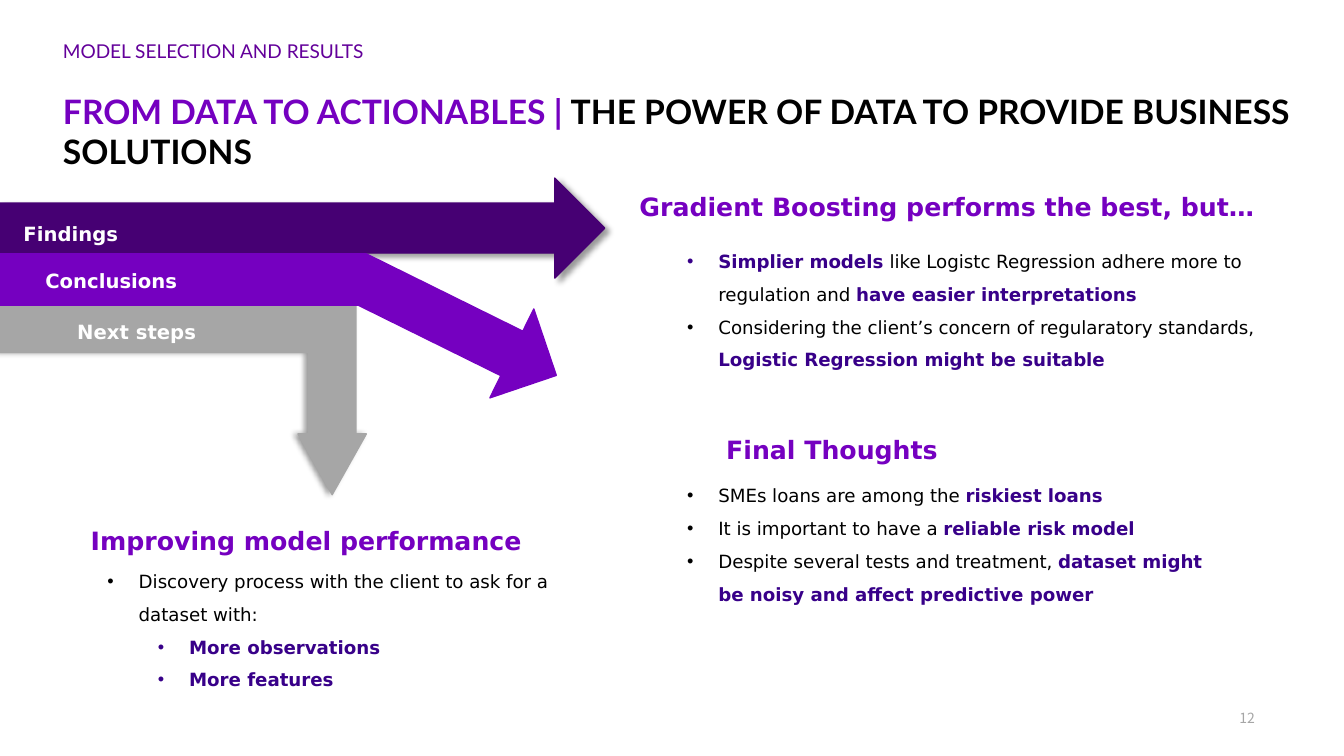
from dataclasses import dataclass

from lxml import etree
from pptx import Presentation
from pptx.dml.color import RGBColor
from pptx.enum.shapes import MSO_SHAPE
from pptx.enum.text import MSO_ANCHOR, MSO_AUTO_SIZE, PP_ALIGN
from pptx.oxml.ns import qn
from pptx.util import Emu, Inches, Pt

LEFT, CENTER, RIGHT = PP_ALIGN.LEFT, PP_ALIGN.CENTER, PP_ALIGN.RIGHT
TOP, BOTTOM = MSO_ANCHOR.TOP, MSO_ANCHOR.BOTTOM
FIXED, GROW = MSO_AUTO_SIZE.NONE, MSO_AUTO_SIZE.SHAPE_TO_FIT_TEXT
RECTANGLE, ARROW, BENT_ARROW = MSO_SHAPE.RECTANGLE, MSO_SHAPE.RIGHT_ARROW, MSO_SHAPE.BENT_ARROW
TITLE_ONLY = 5
COLUMNS, ROWS = 160, 90


@dataclass(frozen=True)
class Theme:
    purple: str = "7500C0"
    dark_purple: str = "460073"
    section_purple: str = "63009A"
    emphasis: str = "380089"
    grey: str = "A6A6A6"
    black: str = "000000"
    white: str = "FFFFFF"
    title_font: str = "Lato"
    body_font: str = "DejaVu Sans"
    number_font: str = "Noto Sans CJK JP"
    title_size: float = 24
    heading_size: float = 18
    label_size: float = 14
    section_size: float = 13.6
    body_size: float = 13
    number_size: float = 10
    body_spacing: float = 1.5


class Board:
    """The current slide, its grid and its style."""

    def __init__(self, deck, theme):
        self.theme = theme
        self.column = deck.slide_width / COLUMNS
        self.row = deck.slide_height / ROWS
        self.slide = deck.slides.add_slide(deck.slide_layouts[TITLE_ONLY])

    def area(self, left, top, width, height):
        return (Emu(round(left * self.column)), Emu(round(top * self.row)),
                Emu(round(width * self.column)), Emu(round(height * self.row)))

    def frame(self, holder, top=0.0, bottom=0.0, anchor=TOP, fit=FIXED):
        frame = holder.text_frame
        frame.word_wrap = True
        frame.auto_size = fit
        frame.vertical_anchor = anchor
        frame.margin_left = frame.margin_right = 0
        frame.margin_top, frame.margin_bottom = Inches(top), Inches(bottom)
        return frame

    def style(self, run, font, size, color, bold=False):
        run.font.name, run.font.size, run.font.bold = font, Pt(size), bold
        run.font.color.rgb = RGBColor.from_string(color)

    def title(self, place, parts):
        holder = self.slide.shapes.title
        holder.left, holder.top, holder.width, holder.height = self.area(*place)
        line = self.frame(holder, top=0.05).paragraphs[0]
        line.alignment = LEFT
        for wording, color in parts:
            run = line.add_run()
            run.text = wording
            self.style(run, self.theme.title_font, self.theme.title_size, color, True)

    def text(self, place, wording, font, size, color, bold=False,
             align=LEFT, spacing=1.0, **layout):
        box = self.slide.shapes.add_textbox(*self.area(*place))
        line = self.frame(box, **layout).paragraphs[0]
        line.text = wording
        line.alignment, line.line_spacing = align, spacing
        self.style(line.runs[0], font, size, color, bold)

    def heading(self, place, wording):
        self.text(place, wording, self.theme.body_font, self.theme.heading_size,
                  self.theme.purple, True, CENTER, self.theme.body_spacing,
                  bottom=0.05, fit=GROW)

    def label(self, left, top, wording):
        self.text((left, top, 38.2, 4.3), wording, self.theme.body_font,
                  self.theme.label_size, self.theme.white, True,
                  spacing=self.theme.body_spacing, bottom=0.05, fit=GROW)

    def bullets(self, place, items):
        """Items are (level, wording); *asterisks* enclose the emphasis."""
        theme = self.theme
        box = self.slide.shapes.add_textbox(*self.area(*place))
        frame = self.frame(box, bottom=0.05, fit=GROW)
        for index, (level, wording) in enumerate(items):
            line = frame.add_paragraph() if index else frame.paragraphs[0]
            line.level, line.line_spacing = level, theme.body_spacing
            for part, piece in enumerate(wording.split("*")):
                if piece:
                    strong = part % 2 == 1
                    run = line.add_run()
                    run.text = piece
                    self.style(run, theme.body_font, theme.body_size,
                               theme.emphasis if strong else theme.black, strong)
            props = line._p.get_or_add_pPr()
            props.set("marL", str(Inches(0.31 + 0.5 * level)))
            props.set("indent", str(-Inches(0.31)))
            etree.SubElement(props, qn("a:buFont"), typeface="Arial")
            etree.SubElement(props, qn("a:buChar"), char="•")

    def block(self, kind, place, color, rotation=0, adjust=(), shadow_angle=None):
        block = self.slide.shapes.add_shape(kind, *self.area(*place))
        block.rotation = rotation
        for index, value in enumerate(adjust):
            block.adjustments[index] = value
        block.shadow.inherit = False
        block.fill.solid()
        block.fill.fore_color.rgb = block.line.color.rgb = RGBColor.from_string(color)
        block.line.width = Pt(1)
        if shadow_angle is not None:
            effects = block._element.spPr.find(qn("a:effectLst"))
            shadow = etree.SubElement(
                effects, qn("a:outerShdw"), blurRad=str(Pt(4)), dist=str(Pt(3)),
                dir=str(shadow_angle * 60000), algn="ctr", rotWithShape="0")
            tint = etree.SubElement(shadow, qn("a:srgbClr"), val=self.theme.black)
            etree.SubElement(tint, qn("a:alpha"), val="40000")


def main():
    deck = Presentation()
    deck.slide_width, deck.slide_height = Inches(13.33), Inches(7.5)
    theme = Theme()
    board = Board(deck, theme)

    # Title and page number
    board.title((7.5, 10.2, 147.5, 11.9), [
        ("FROM DATA TO ACTIONABLES | ", theme.purple),
        ("THE POWER OF DATA TO PROVIDE BUSINESS SOLUTIONS", theme.black)])
    board.text((145.4, 84.2, 4, 2.3), "12", theme.number_font, theme.number_size,
               theme.grey, align=RIGHT, anchor=BOTTOM)

    # Three diverging arrows
    board.block(ARROW, (0, 21.2, 72, 11.9), theme.dark_purple, shadow_angle=45)
    board.block(BENT_ARROW, (10.5, 25.8, 22.6, 43.6), theme.grey, 90,
                (0.25, 0.18, 0.32, 0), 180)
    board.block(RECTANGLE, (0, 30.2, 43.6, 6.1), theme.purple)
    board.block(ARROW, (41, 32.9, 26.6, 11.8), theme.purple, 26.3)

    # Bulleted messages
    board.bullets((81.8, 28.5, 67.5, 15.8), [
        (0, "*Simplier models *like Logistc Regression adhere more to regulation and "
            "*have easier interpretations*"),
        (0, "Considering the client’s concern of regularatory standards, "
            "*Logistic Regression might be suitable*")])
    board.bullets((81.8, 56.4, 64.5, 19.8), [
        (0, "SMEs loans are among the *riskiest loans*"),
        (0, "It is important to have a *reliable risk model*"),
        (0, "Despite several tests and treatment, "
            "*dataset might be noisy and affect predictive power*")])
    board.bullets((12.8, 66.6, 61, 15.8), [
        (0, "Discovery process with the client to ask for a dataset with:"),
        (1, "*More observations*"),
        (1, "*More features*")])

    # Arrow labels
    for left, top, wording in [(2.8, 25, "Findings"), (5.4, 30.6, "Conclusions"),
                               (9.2, 36.7, "Next steps")]:
        board.label(left, top, wording)

    # Headings of the messages
    board.heading((7.4, 60.7, 58.1, 5.3), "Improving model performance")
    board.heading((74.8, 21, 76.9, 5.3), "Gradient Boosting performs the best, but… ")
    board.heading((78, 49.9, 42.1, 5.3), "Final Thoughts")

    # Section name
    board.text((7.5, 5.3, 75, 2.3), "MODEL SELECTION AND RESULTS", theme.title_font,
               theme.section_size, theme.section_purple, spacing=0.5, top=0.05)

    deck.save("out.pptx")


if __name__ == "__main__":
    main()
